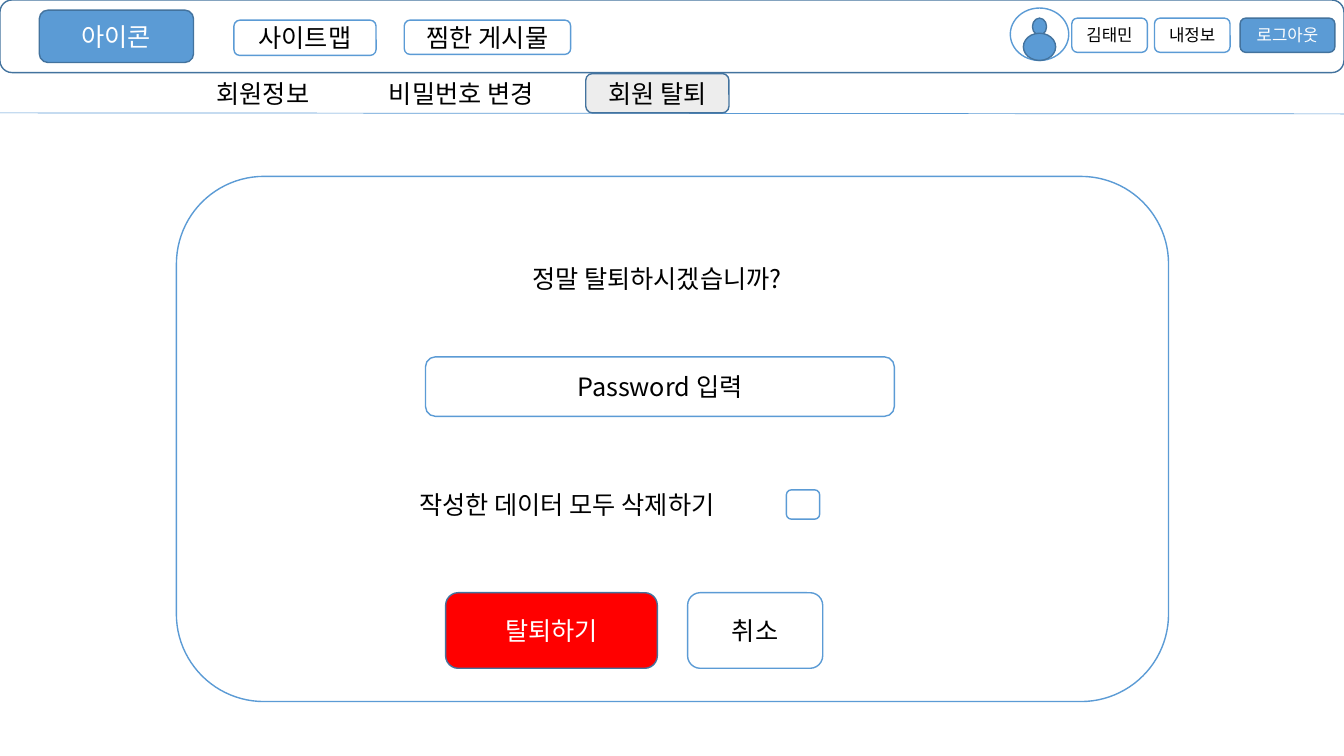
from lxml import etree
from pptx import Presentation
from pptx.dml.color import RGBColor
from pptx.enum.shapes import MSO_CONNECTOR, MSO_SHAPE
from pptx.enum.text import MSO_ANCHOR, MSO_AUTO_SIZE, PP_ALIGN
from pptx.oxml.ns import qn
from pptx.util import Inches, Pt

ROUND, OVAL = MSO_SHAPE.ROUNDED_RECTANGLE, MSO_SHAPE.OVAL
STRAIGHT = MSO_CONNECTOR.STRAIGHT
MIDDLE, CENTER = MSO_ANCHOR.MIDDLE, PP_ALIGN.CENTER
FIT = MSO_AUTO_SIZE.SHAPE_TO_FIT_TEXT
FONT = "Noto Sans CJK KR"
COLORS = {"white": "FFFFFF", "black": "000000", "blue": "5B9BD5",
          "navy": "43739E", "red": "FF0000", "gray": "EDEDED"}


def rgb(name):
    """Return the named palette colour."""
    return RGBColor.from_string(COLORS[name])


def write(tf, text, size, color):
    """Put one styled paragraph in a text frame and return it."""
    p = tf.paragraphs[0]
    p.text = text
    p.font.size = Pt(size)
    p.font.color.rgb = rgb(color)
    p.font.name = FONT
    def_rpr = p._p.pPr.find(qn("a:defRPr"))
    etree.SubElement(def_rpr, qn("a:ea")).set("typeface", FONT)
    return p


def add_box(s, x, y, w, h, text="", fill="white", line="blue",
            color="black", size=18, kind=ROUND):
    """Draw a shape with optional centred text."""
    sp = s.shapes.add_shape(kind, Inches(x), Inches(y), Inches(w), Inches(h))
    sp.shadow.inherit = False
    if fill:
        sp.fill.solid()
        sp.fill.fore_color.rgb = rgb(fill)
    else:
        sp.fill.background()
    if line:
        sp.line.color.rgb = rgb(line)
        sp.line.width = Pt(1)
    else:
        sp.line.fill.background()
    if text:
        sp.text_frame.vertical_anchor = MIDDLE
        write(sp.text_frame, text, size, color).alignment = CENTER


def add_label(s, x, y, w, text):
    """Place a single-line text box."""
    tf = s.shapes.add_textbox(Inches(x), Inches(y), Inches(w), Inches(0.4)).text_frame
    tf.word_wrap = False
    tf.auto_size = FIT
    write(tf, text, 18, "black")


def add_avatar(s, x, y, w, h):
    """Draw the round user icon."""
    add_box(s, x, y, w, h, kind=OVAL)
    for dx, dy, part_w, part_h in ((0.22, 0.1, 0.14, 0.17), (0.13, 0.25, 0.32, 0.27)):
        add_box(s, x + dx, y + dy, part_w, part_h, fill="blue", line="navy", kind=OVAL)


def add_header(s, x, y, w, h):
    """Draw the top bar with its navigation and user buttons."""
    add_box(s, x, y, w, h, line="navy")
    add_box(s, x + 0.39, y + 0.1, 1.53, 0.52, "아이콘", "blue", "navy", "white")
    add_box(s, x + 2.32, y + 0.2, 1.41, 0.35, "사이트맵")
    add_box(s, x + 4.01, y + 0.2, 1.65, 0.34, "찜한 게시물")
    right = x + w
    add_avatar(s, right - 3.31, y + 0.08, 0.58, 0.52)
    for offset, text in ((2.7, "김태민"), (1.88, "내정보")):
        add_box(s, right - offset, y + 0.18, 0.75, 0.34, text, size=12)
    add_box(s, right - 1.03, y + 0.18, 0.94, 0.34, "로그아웃",
            "blue", "navy", "white", 12)


def add_tabs(s, x, y, w, h):
    """Draw the tab row above its dividing line."""
    rule = s.shapes.add_connector(STRAIGHT, Inches(x), Inches(y + h),
                                  Inches(x + w), Inches(y + h + 0.01))
    rule.line.color.rgb = rgb("blue")
    rule.line.width = Pt(0.5)
    etree.SubElement(rule._element.spPr, qn("a:effectLst"))
    add_label(s, x + 2.05, y, 1.21, "회원정보")
    add_box(s, x + 3.65, y, 1.85, h, "비밀번호 변경", None, None)
    add_box(s, x + 5.81, y, 1.42, h, "회원 탈퇴", "gray", "navy")


def add_withdrawal(s, x, y, w, h):
    """Draw the account withdrawal panel."""
    add_box(s, x, y, w, h)
    add_label(s, x + 3.43, y + 0.81, 2.93, "정말 탈퇴하시겠습니까?")
    add_box(s, x + 2.47, y + 1.79, 4.65, 0.59, "Password 입력")
    add_label(s, x + 2.31, y + 3.06, 3.5, "작성한 데이터 모두 삭제하기")
    add_box(s, x + 6.05, y + 3.11, 0.33, 0.29)
    add_box(s, x + 2.67, y + 4.13, 2.1, 0.75, "탈퇴하기", "red", "navy", "white")
    add_box(s, x + 5.07, y + 4.13, 1.34, 0.75, "취소")


def main():
    """Build and save the slide."""
    prs = Presentation()
    prs.slide_width, prs.slide_height = Inches(13.33), Inches(7.5)
    s = prs.slides.add_slide(prs.slide_layouts[6])
    add_header(s, 0, 0, 13.33, 0.72)
    add_tabs(s, 0, 0.73, 13.33, 0.39)
    add_withdrawal(s, 1.75, 1.75, 9.84, 5.21)
    prs.save("out.pptx")


if __name__ == "__main__":
    main()
